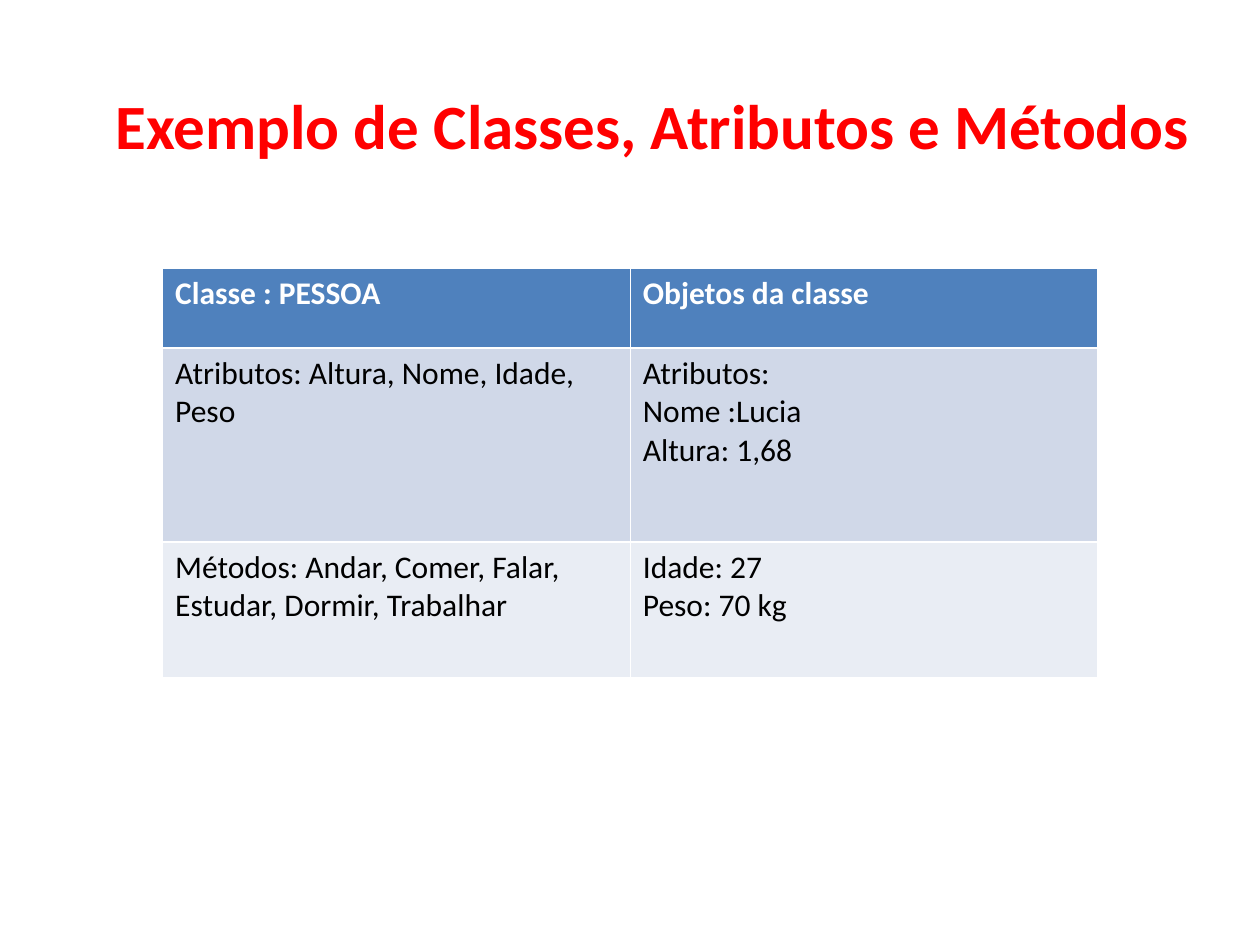
from dataclasses import dataclass

from pptx import Presentation
from pptx.dml.color import RGBColor
from pptx.enum import text
from pptx.util import Pt


@dataclass(frozen=True)
class Theme:
    font: str = "Calibri"
    title_size: int = 36
    table_size: int = 18
    title: str = "FF0000"
    header_text: str = "FFFFFF"
    body_text: str = "000000"
    header_fill: str = "4F81BD"
    band_fills: tuple = ("D0D8E8", "E9EDF4")


THEME = Theme()

TITLE = "Exemplo de Classes, Atributos e Métodos"
ROWS = [
    ("Classe : PESSOA", "Objetos da classe"),
    ("Atributos: Altura, Nome, Idade, Peso",
     "Atributos:\nNome :Lucia\nAltura: 1,68"),
    ("Métodos: Andar, Comer, Falar, Estudar, Dormir, Trabalhar",
     "Idade: 27\nPeso: 70 kg"),
]
ROW_HEIGHTS = (45.4, 110.9, 77.8)


def format_runs(text_frame, size, color, bold):
    for paragraph in text_frame.paragraphs:
        for run in paragraph.runs:
            run.font.name = THEME.font
            run.font.size = Pt(size)
            run.font.bold = bold
            run.font.color.rgb = RGBColor.from_string(color)


def place_title(slide, left, top, width, height):
    title = slide.shapes.title
    title.left, title.top = Pt(left), Pt(top)
    title.width, title.height = Pt(width), Pt(height)
    text_frame = title.text_frame
    text_frame.text = TITLE
    text_frame.vertical_anchor = text.MSO_ANCHOR.MIDDLE
    text_frame.paragraphs[0].alignment = text.PP_ALIGN.CENTER
    format_runs(text_frame, THEME.title_size, THEME.title, True)


def place_class_table(slide, left, top, width):
    # The default table style supplies the white borders
    column_count = len(ROWS[0])
    table = slide.shapes.add_table(
        len(ROWS), column_count, Pt(left), Pt(top),
        Pt(width), Pt(sum(ROW_HEIGHTS))).table
    for column in table.columns:
        column.width = Pt(width / column_count)

    for row_index, (values, height) in enumerate(zip(ROWS, ROW_HEIGHTS)):
        table.rows[row_index].height = Pt(height)
        header = row_index == 0
        fill = THEME.header_fill if header else THEME.band_fills[(row_index - 1) % 2]
        color = THEME.header_text if header else THEME.body_text
        for column_index, value in enumerate(values):
            cell = table.cell(row_index, column_index)
            cell.fill.solid()
            cell.fill.fore_color.rgb = RGBColor.from_string(fill)
            cell.text_frame.text = value
            format_runs(cell.text_frame, THEME.table_size, color, header)


def main():
    presentation = Presentation()
    presentation.slide_width, presentation.slide_height = Pt(720), Pt(540)
    title_only = presentation.slide_layouts[5]
    slide = presentation.slides.add_slide(title_only)
    place_title(slide, left=54, top=26, width=638, height=90)
    place_class_table(slide, left=92.9, top=153.4, width=534.6)
    presentation.save("out.pptx")


if __name__ == "__main__":
    main()
